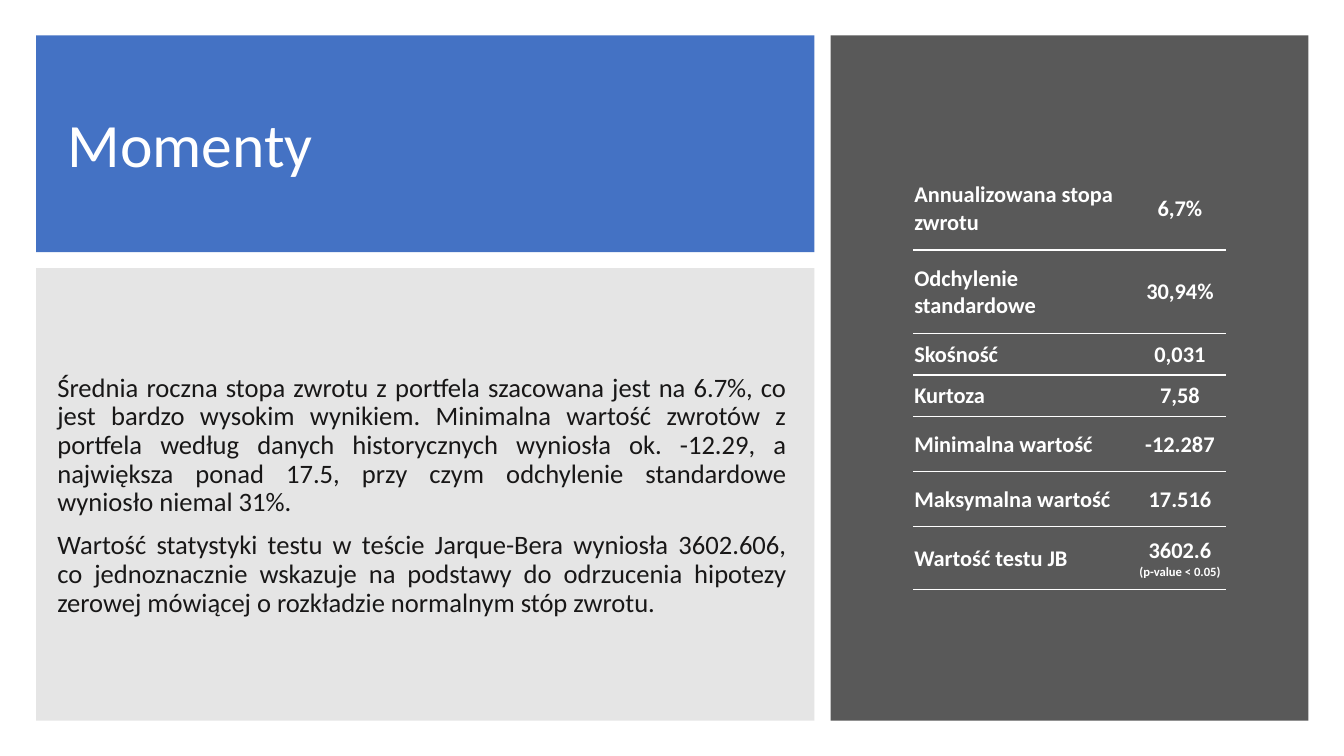
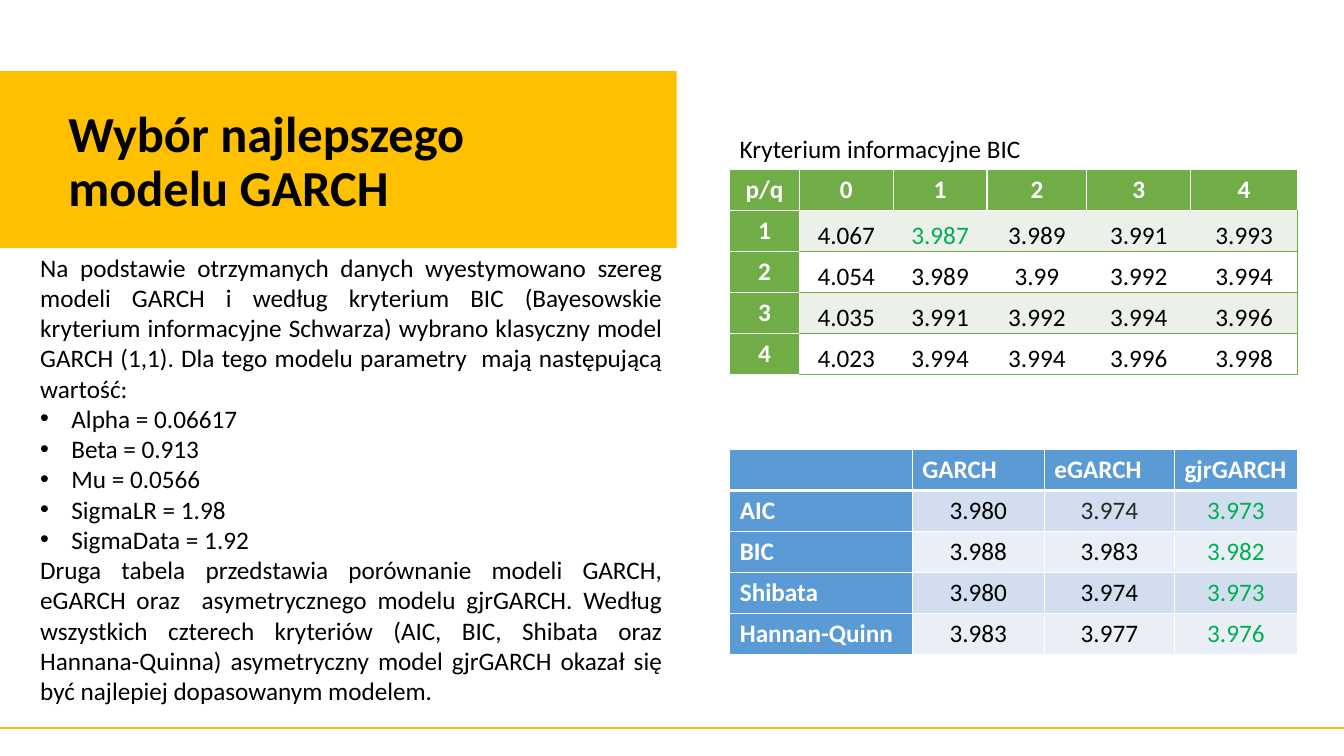
from dataclasses import dataclass, field, replace

from lxml.etree import SubElement
from pptx import Presentation
from pptx.dml.color import RGBColor
from pptx.enum.shapes import MSO_CONNECTOR, MSO_SHAPE
from pptx.enum.text import MSO_ANCHOR, PP_ALIGN
from pptx.oxml.ns import qn
from pptx.util import Inches, Pt

# Shared look
FONT = "Calibri"
WHITE, BLACK, INK = "FFFFFF", "000000", "181717"
BLUE, GRAY, DARK, GOLD = "4472C4", "7F7F7F", "595959", "FFC000"
GREEN, PALE_GREEN, BEST = "70AD47", "EBF1E9", "00B050"
SKY, SKY_BANDS = "5B9BD5", ("EAEFF7", "D2DEEF")
PLAIN_TABLE = "{2D5ABB26-0587-4C30-8999-92F81FD0307C}"
WIDTH, HEIGHT = Inches(13.33), Inches(7.5)
TIGHT = (0.01, 0.01, 0.01, 0)
ROOMY = (0.1, 0.05, 0.1, 0.05)


def rgb(code):
    return RGBColor.from_string(code)


def across(percent):
    return round(WIDTH * percent / 100)


def down(percent):
    return round(HEIGHT * percent / 100)


def area(left, top, width, height):
    """Turn percentages of the slide into a position and a size."""
    return across(left), down(top), across(width), down(height)


@dataclass(frozen=True)
class TextStyle:
    size: float = 18
    color: str = BLACK
    bold: bool = False
    align: PP_ALIGN = PP_ALIGN.LEFT
    spacing: float = 1.0
    before: float = 0


@dataclass(frozen=True)
class CellStyle:
    text: TextStyle
    fill: str = ""
    anchor: MSO_ANCHOR = MSO_ANCHOR.TOP
    inset: tuple = ROOMY
    borders: dict = field(default_factory=dict)


TITLE = TextStyle(size=44, color=WHITE, spacing=0.9)


# Text
def add_span(para, text, style):
    span = para.add_run()
    span.text = text
    span.font.name = FONT
    span.font.size = Pt(style.size)
    span.font.bold = style.bold
    span.font.color.rgb = rgb(style.color)


def set_bullet(para):
    props = para._p.get_or_add_pPr()
    props.set("marL", str(Inches(0.31)))
    props.set("indent", str(-Inches(0.31)))
    SubElement(props, qn("a:buFont"), typeface="Arial")
    SubElement(props, qn("a:buChar"), char="•")


def write_paras(frame, lines):
    """Write (text, style, bulleted) lines into a text frame."""
    for index, (text, style, bulleted) in enumerate(lines):
        para = frame.add_paragraph() if index else frame.paragraphs[0]
        para.alignment = style.align
        para.line_spacing = style.spacing
        para.space_before = Pt(style.before)
        if bulleted:
            set_bullet(para)
        add_span(para, text, style)


def add_text(page, place, lines, anchor=MSO_ANCHOR.TOP):
    box = page.shapes.add_textbox(*area(*place))
    box.text_frame.word_wrap = True
    box.text_frame.vertical_anchor = anchor
    write_paras(box.text_frame, lines)


# Panels and rules
def add_panel(page, place, fill, alpha=100):
    panel = page.shapes.add_shape(MSO_SHAPE.RECTANGLE, *area(*place))
    panel.shadow.inherit = False
    panel.line.fill.background()
    panel.fill.solid()
    panel.fill.fore_color.rgb = rgb(fill)
    if alpha < 100:
        color = panel._element.spPr.find(qn("a:solidFill"))[0]
        SubElement(color, qn("a:alpha"), val=str(alpha * 1000))


def add_rule(page, top, color):
    rule = page.shapes.add_connector(
        MSO_CONNECTOR.STRAIGHT, 0, down(top), WIDTH, down(top))
    rule.line.color.rgb = rgb(color)
    rule.line.width = Pt(1.5)
    SubElement(rule._element.spPr, qn("a:effectLst"))


# Tables
def set_borders(cell, borders):
    props = cell._tc.get_or_add_tcPr()
    for side in "LRTB":
        color, width = borders.get(side, ("", 0))
        line = SubElement(props, qn(f"a:ln{side}"), w=str(Pt(width)))
        if color:
            paint = SubElement(line, qn("a:solidFill"))
            SubElement(paint, qn("a:srgbClr"), val=color)
        else:
            SubElement(line, qn("a:noFill"))


def fill_cell(cell, text, style):
    set_borders(cell, style.borders)
    if style.fill:
        cell.fill.solid()
        cell.fill.fore_color.rgb = rgb(style.fill)
    else:
        cell.fill.background()
    cell.vertical_anchor = style.anchor
    (cell.margin_left, cell.margin_top,
     cell.margin_right, cell.margin_bottom) = map(Inches, style.inset)
    # Any line after the first is a small note
    note = replace(style.text, size=9)
    write_paras(cell.text_frame, [
        (line, note if index else style.text, False)
        for index, line in enumerate(text.split("\n"))])


def add_grid(page, left, top, columns, heights, rows, style_at):
    """Add a table; style_at(row, column) gives each cell its style."""
    place = area(left, top, sum(columns), sum(heights))
    table = page.shapes.add_table(len(rows), len(columns), *place).table
    table.first_row = table.horz_banding = False
    table._tbl.tblPr.find(qn("a:tableStyleId")).text = PLAIN_TABLE
    for column, width in zip(table.columns, columns):
        column.width = across(width)
    for row, height in zip(table.rows, heights):
        row.height = down(height)
    for r, texts in enumerate(rows):
        for c, text in enumerate(texts):
            fill_cell(table.cell(r, c), text, style_at(r, c))


def moments_style(row, column):
    align = PP_ALIGN.CENTER if column else PP_ALIGN.LEFT
    return CellStyle(TextStyle(16, WHITE, True, align), "", MSO_ANCHOR.MIDDLE,
                     TIGHT, {"B": (WHITE, 1)})


def order_style(row, column):
    """Style of the p/q table: green heads, green rules below values."""
    if row == 0 or column == 0:
        head = TextStyle(18, WHITE, True, PP_ALIGN.CENTER)
        return CellStyle(head, GREEN, borders=dict.fromkeys("LRTB", (WHITE, 1)))
    borders = {"T": (GREEN if row > 1 else WHITE, 1), "B": (GREEN, 1)}
    if column == 1:
        borders["L"] = (WHITE, 1)
    if column == 5:
        borders["R"] = (GREEN, 1)
    color = BEST if (row, column) == (1, 2) else BLACK
    return CellStyle(TextStyle(18, color, align=PP_ALIGN.CENTER),
                     PALE_GREEN if row % 2 else WHITE,
                     MSO_ANCHOR.BOTTOM, TIGHT, borders)


def model_style(row, column):
    """Style of the model table: blue heads, banded values, best in green."""
    borders = dict.fromkeys("LRTB", (WHITE, 1))
    if row < 2:
        borders["T" if row else "B"] = (WHITE, 3)
    if row == 0 or column == 0:
        return CellStyle(TextStyle(18, WHITE, True), SKY, borders=borders)
    color = BEST if column == 3 else BLACK
    if (row, column) == (1, 2):
        color = "262626"
    return CellStyle(TextStyle(18, color, align=PP_ALIGN.CENTER),
                     SKY_BANDS[row % 2], borders=borders)


# Slides
def build_moments(page):
    add_panel(page, (2.7, 4.67, 57.9, 28.67), BLUE)
    add_panel(page, (2.7, 35.47, 57.9, 59.86), GRAY, alpha=20)
    add_panel(page, (61.8, 4.67, 35.55, 90.66), DARK)
    add_text(page, (4.28, 7.6, 54.08, 23.73), [("Momenty", TITLE, False)],
             MSO_ANCHOR.MIDDLE)
    body = TextStyle(19, INK, align=PP_ALIGN.JUSTIFY, spacing=0.9, before=10)
    add_text(page, (3.53, 38.67, 55.73, 53.87), [
        ("Średnia roczna stopa zwrotu z portfela szacowana jest na 6.7%, co "
         "jest bardzo wysokim wynikiem. Minimalna wartość zwrotów z portfela "
         "według danych historycznych wyniosła ok. -12.29, a największa ponad "
         "17.5, przy czym odchylenie standardowe wyniosło niemal 31%.",
         body, False),
        ("Wartość statystyki testu w teście Jarque-Bera wyniosła 3602.606, co "
         "jednoznacznie wskazuje na podstawy do odrzucenia hipotezy zerowej "
         "mówiącej o rozkładzie normalnym stóp zwrotu.", body, False),
    ], MSO_ANCHOR.MIDDLE)
    add_grid(page, 67.95, 22, (16.43, 6.83),
             (11.07, 11.07, 5.47, 5.47, 7.3, 7.3, 8.3), [
                 ("Annualizowana stopa zwrotu", "6,7%"),
                 ("Odchylenie standardowe", "30,94%"),
                 ("Skośność", "0,031"),
                 ("Kurtoza", "7,58"),
                 ("Minimalna wartość", "-12.287"),
                 ("Maksymalna wartość", "17.516"),
                 ("Wartość testu JB", "3602.6\n(p-value < 0.05)"),
             ], moments_style)


def build_garch(page):
    add_panel(page, (0, 9.4, 50.35, 23.4), GOLD)
    title = replace(TITLE, size=36, color=BLACK, bold=True)
    add_text(page, (4.35, 12.4, 41.33, 17.07),
             [("Wybór najlepszego modelu GARCH", title, False)],
             MSO_ANCHOR.BOTTOM)

    # Tables share their left edge and row height
    left, heights = 54.3, [5.42] * 5
    add_grid(page, left, 22.4, (5.18, 6.98, 6.98, 7.43, 7.73, 7.95), heights, [
        ("p/q", "0", "1", "2", "3", "4"),
        ("1", "4.067", "3.987", "3.989", "3.991", "3.993"),
        ("2", "4.054", "3.989", "3.99", "3.992", "3.994"),
        ("3", "4.035", "3.991", "3.992", "3.994", "3.996"),
        ("4", "4.023", "3.994", "3.994", "3.996", "3.998"),
    ], order_style)
    add_text(page, (left, 16.93, 26.1, 5.33),
             [("Kryterium informacyjne BIC", TextStyle(), False)])
    add_grid(page, left, 59.47, (13.58, 9.83, 9.68, 9.15), heights, [
        ("", "GARCH", "eGARCH", "gjrGARCH"),
        ("AIC", "3.980", "3.974", "3.973"),
        ("BIC", "3.988", "3.983", "3.982"),
        ("Shibata", "3.980", "3.974", "3.973"),
        ("Hannan-Quinn", "3.983", "3.977", "3.976"),
    ], model_style)

    # Commentary with the fitted parameters
    body = TextStyle(align=PP_ALIGN.JUSTIFY)
    parameters = ("Alpha = 0.06617", "Beta = 0.913", "Mu = 0.0566",
                  "SigmaLR = 1.98", "SigmaData = 1.92")
    add_text(page, (2.25, 32.67, 47.78, 61.87), [
        ("Na podstawie otrzymanych danych wyestymowano szereg modeli GARCH i "
         "według kryterium BIC (Bayesowskie kryterium informacyjne Schwarza) "
         "wybrano klasyczny model GARCH (1,1). Dla tego modelu parametry  "
         "mają następującą wartość:", body, False),
        *((parameter, body, True) for parameter in parameters),
        ("Druga tabela przedstawia porównanie modeli GARCH, eGARCH oraz  "
         "asymetrycznego modelu gjrGARCH. Według wszystkich czterech "
         "kryteriów (AIC, BIC, Shibata oraz Hannana-Quinna) asymetryczny "
         "model gjrGARCH okazał się być najlepiej dopasowanym modelem.",
         body, False),
    ])
    add_rule(page, 96.27, GOLD)


def main():
    deck = Presentation()
    deck.slide_width, deck.slide_height = WIDTH, HEIGHT
    for build in (build_moments, build_garch):
        build(deck.slides.add_slide(deck.slide_layouts[6]))
    deck.save("out.pptx")


if __name__ == "__main__":
    main()
